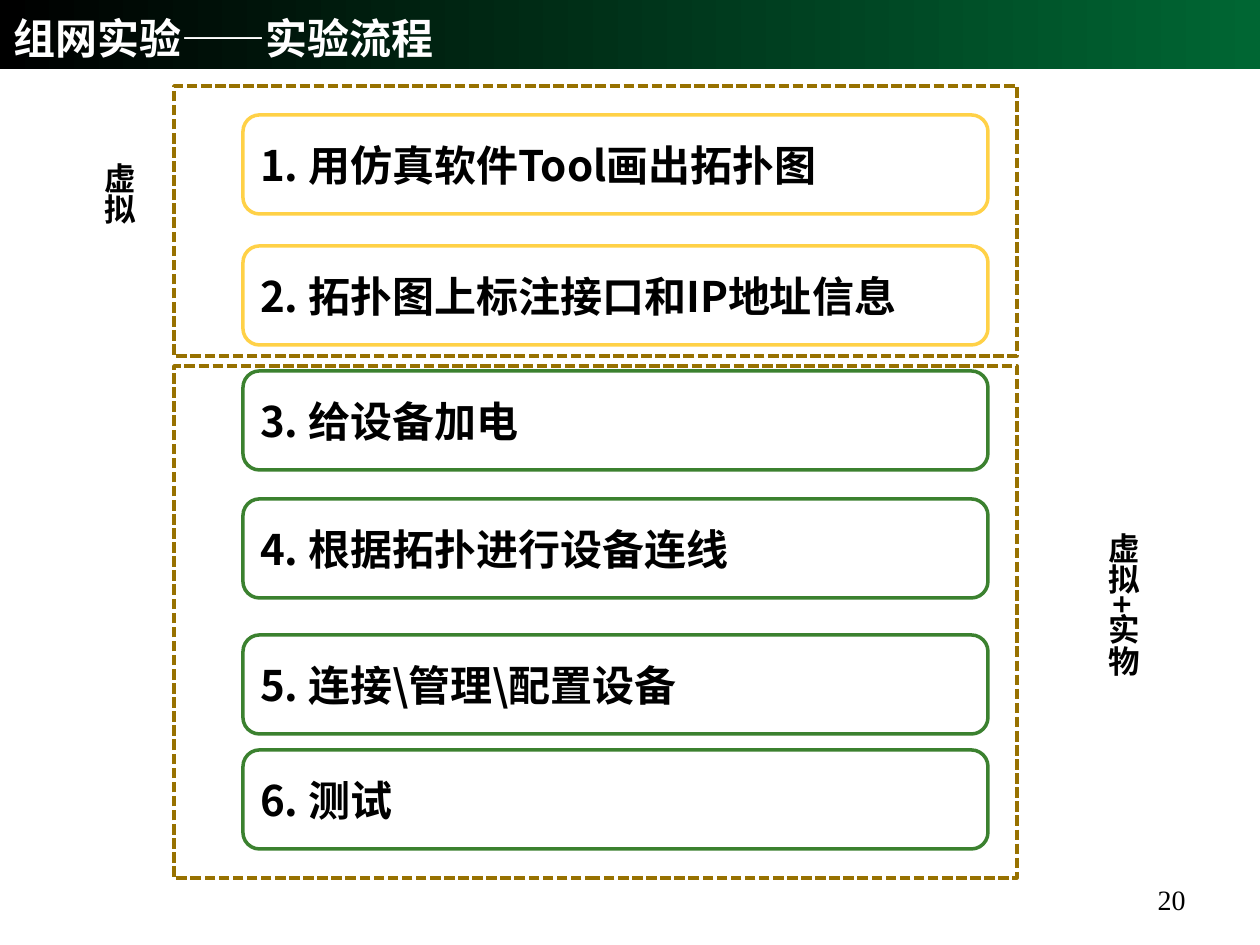
import pptx
import pptx.util
import pptx.dml.color
import pptx.enum.dml
import pptx.enum.shapes
import pptx.enum.text
import pptx.oxml
import pptx.oxml.ns

SHAPE = pptx.enum.shapes.MSO_SHAPE
ANCHOR = pptx.enum.text.MSO_ANCHOR
ALIGN = pptx.enum.text.PP_ALIGN
SANS = "Noto Sans CJK SC"
SIDE = "Noto Sans CJK JP"
SERIF = "Times New Roman"
GOLD, GREEN, BROWN = "FFD147", "3B812F", "977100"


def px(num):
    return pptx.util.Emu(round(num * 914400 / 126))


def color(code):
    return pptx.dml.color.RGBColor.from_string(code)


def write(frame, text, size=24, face=SANS, ink="000000", bold=True,
          align=ALIGN.LEFT, anchor=ANCHOR.MIDDLE, wrap=True):
    frame.word_wrap = wrap
    frame.vertical_anchor = anchor
    para = frame.paragraphs[0]
    para.alignment = align
    run = para.add_run()
    run.text = text
    font = run.font
    font.size = pptx.util.Pt(size)
    font.name = face
    font.bold = bold
    font.color.rgb = color(ink)
    east = pptx.oxml.parse_xml(
        f'<a:ea {pptx.oxml.ns.nsdecls("a")} typeface="{face}"/>')
    run._r.get_or_add_rPr().find(pptx.oxml.ns.qn("a:latin")).addnext(east)


class Deck:
    def __init__(self):
        self.show = pptx.Presentation()
        self.show.slide_width = px(1260)
        self.show.slide_height = px(945)
        self.slide = self.show.slides.add_slide(self.show.slide_layouts[5])

    def shape(self, kind, *area):
        item = self.slide.shapes.add_shape(kind, *map(px, area))
        item.shadow.inherit = False
        return item

    def banner(self, *area):
        bar = self.shape(SHAPE.RECTANGLE, *area)
        bar.line.fill.background()
        bar.fill.gradient()
        bar.fill.gradient_angle = 0
        for stop, place, code in zip(bar.fill.gradient_stops, (0, 1),
                                     ("000000", "006633")):
            stop.position = place
            stop.color.rgb = color(code)
        self.slide.shapes._spTree.insert(2, bar._element)

    def title(self, text, *area):
        head = self.slide.shapes.title
        head.left, head.top, head.width, head.height = map(px, area)
        head.text_frame.auto_size = pptx.enum.text.MSO_AUTO_SIZE.NONE
        write(head.text_frame, text, ink="FFFFFF")

    def step(self, text, edge, *area):
        card = self.shape(SHAPE.ROUNDED_RECTANGLE, *area)
        card.fill.solid()
        card.fill.fore_color.rgb = color("FFFFFF")
        card.line.color.rgb = color(edge)
        card.line.width = pptx.util.Pt(2)
        write(card.text_frame, text)

    def group(self, *area):
        box = self.shape(SHAPE.RECTANGLE, *area)
        box.fill.background()
        box.line.color.rgb = color(BROWN)
        box.line.width = pptx.util.Pt(2)
        box.line.dash_style = pptx.enum.dml.MSO_LINE.SQUARE_DOT

    def label(self, text, *area, **style):
        box = self.slide.shapes.add_textbox(*map(px, area))
        write(box.text_frame, text, **style)
        return box

    def side(self, text, *area):
        box = self.label(text, *area, size=18, face=SIDE,
                         anchor=ANCHOR.TOP, wrap=False)
        box.text_frame.auto_size = pptx.enum.text.MSO_AUTO_SIZE.SHAPE_TO_FIT_TEXT
        box.text_frame._txBody.bodyPr.set("vert", "eaVert")


def main():
    deck = Deck()
    deck.banner(0, 0, 1260, 69)
    deck.title("组网实验——实验流程", 1, 13, 857, 49)
    deck.label("20", 799, 859, 399, 63, size=16, face=SERIF, bold=False,
               align=ALIGN.RIGHT, anchor=ANCHOR.BOTTOM)
    steps = [
        ("用仿真软件Tool画出拓扑图", GOLD, 115),
        ("拓扑图上标注接口和IP地址信息", GOLD, 246),
        ("给设备加电", GREEN, 371),
        ("根据拓扑进行设备连线", GREEN, 499),
        ("连接\\管理\\配置设备", GREEN, 635),
        ("测试", GREEN, 750),
    ]
    for rank, (text, edge, top) in enumerate(steps, 1):
        deck.step(f"{rank}. {text}", edge, 243, top, 745, 99)
    for top, high in ((86, 270), (366, 512)):
        deck.group(174, top, 843, high)
    deck.side("虚拟", 81, 150, 63, 84)
    deck.side("虚拟+实物", 1085, 520, 63, 175)
    deck.show.save("out.pptx")


if __name__ == "__main__":
    main()
